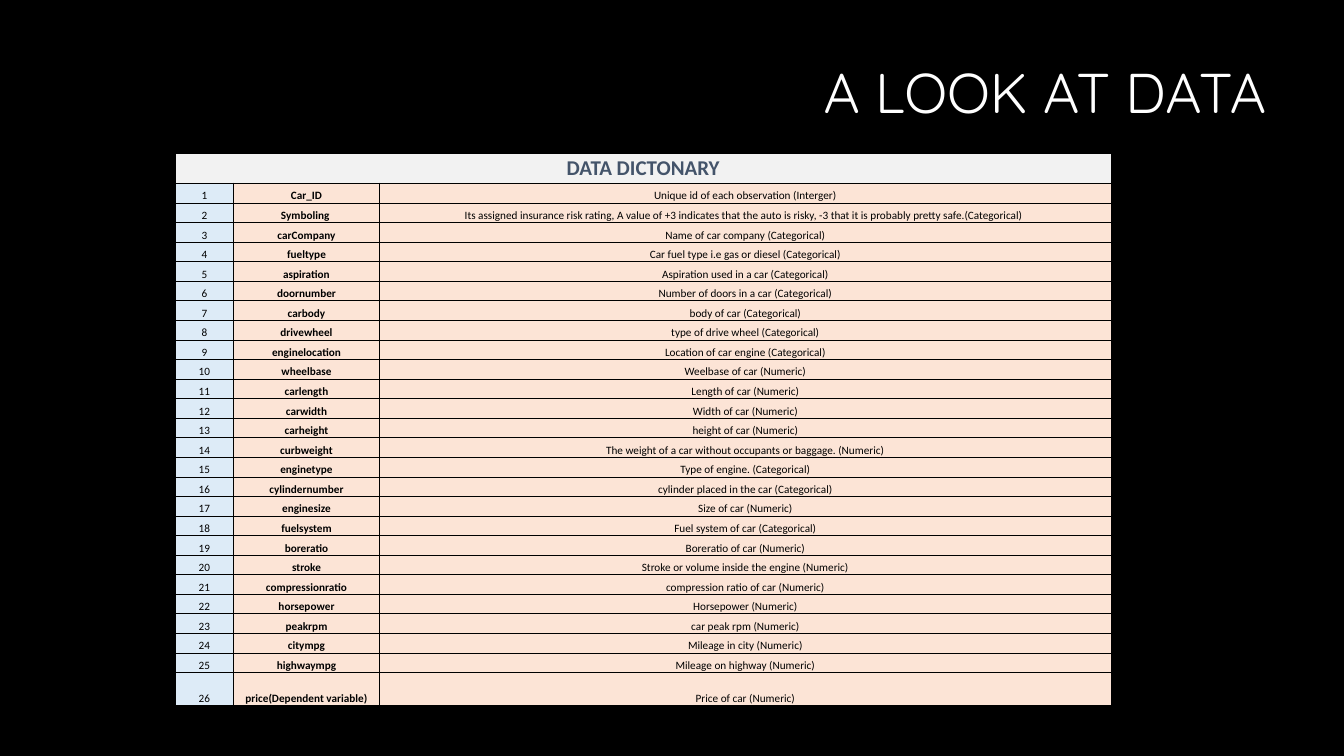
from dataclasses import dataclass

from lxml.etree import SubElement
from pptx import Presentation
from pptx.dml.color import RGBColor
from pptx.enum.text import MSO_ANCHOR, PP_ALIGN
from pptx.oxml.ns import qn
from pptx.util import Cm, Pt


@dataclass(frozen=True)
class Theme:
    background: str = "000000"
    title: str = "FFFFFF"
    heading: str = "44546A"
    heading_fill: str = "F2F2F2"
    number_fill: str = "DDEBF7"
    body_fill: str = "FCE4D6"
    ink: str = "000000"
    title_font: str = "Quicksand"
    table_font: str = "Calibri"
    title_size: int = 40
    heading_size: int = 15
    body_size: int = 8


THEME = Theme()
VARIABLES = [
    ("Car_ID", "Unique id of each observation (Interger)"),
    ("Symboling ", "Its assigned insurance risk rating, A value of +3 indicates that "
     "the auto is risky, -3 that it is probably pretty safe.(Categorical) "),
    ("carCompany", "Name of car company (Categorical)"),
    ("fueltype", "Car fuel type i.e gas or diesel (Categorical)"),
    ("aspiration", "Aspiration used in a car (Categorical)"),
    ("doornumber", "Number of doors in a car (Categorical)"),
    ("carbody", "body of car (Categorical)"),
    ("drivewheel", "type of drive wheel (Categorical)"),
    ("enginelocation", "Location of car engine (Categorical)"),
    ("wheelbase", "Weelbase of car (Numeric)"),
    ("carlength", "Length of car (Numeric)"),
    ("carwidth", "Width of car (Numeric)"),
    ("carheight", "height of car (Numeric)"),
    ("curbweight", "The weight of a car without occupants or baggage. (Numeric)"),
    ("enginetype", "Type of engine. (Categorical)"),
    ("cylindernumber", "cylinder placed in the car (Categorical)"),
    ("enginesize", "Size of car (Numeric)"),
    ("fuelsystem", "Fuel system of car (Categorical)"),
    ("boreratio", "Boreratio of car (Numeric)"),
    ("stroke", "Stroke or volume inside the engine (Numeric)"),
    ("compressionratio", "compression ratio of car (Numeric)"),
    ("horsepower", "Horsepower (Numeric)"),
    ("peakrpm", "car peak rpm (Numeric)"),
    ("citympg", "Mileage in city (Numeric)"),
    ("highwaympg", "Mileage on highway (Numeric)"),
    ("price(Dependent variable)", "Price of car (Numeric)"),
]
OPEN_RIGHT_ROWS = {0, 1, 12}


def add_run(p, text, font, size, color, bold=False):
    r = p.add_run()
    r.text = text
    r.font.name = font
    r.font.size = Pt(size)
    r.font.bold = bold
    r.font.color.rgb = RGBColor.from_string(color)


def format_cell(cell, fill, anchor, widths):
    """Set fill, margins and borders; widths gives points by side, 0 for no line."""
    cell.margin_left = cell.margin_right = cell.margin_top = Cm(0.02)
    cell.margin_bottom = 0
    cell.vertical_anchor = anchor
    tcPr = cell._tc.get_or_add_tcPr()
    for side in "LRTB":
        ln = SubElement(tcPr, qn(f"a:ln{side}"), w=str(Pt(widths[side])))
        if widths[side]:
            solid = SubElement(ln, qn("a:solidFill"))
            SubElement(solid, qn("a:srgbClr"), val=THEME.ink)
        else:
            SubElement(ln, qn("a:noFill"))
    cell.fill.solid()
    cell.fill.fore_color.rgb = RGBColor.from_string(fill)


prs = Presentation()
prs.slide_width, prs.slide_height = Cm(33.87), Cm(19.05)
s = prs.slides.add_slide(prs.slide_layouts[5])
s.background.fill.solid()
s.background.fill.fore_color.rgb = RGBColor.from_string(THEME.background)

# Title
title = s.shapes.title
title.left, title.top = Cm(8.23), Cm(0.61)
title.width, title.height = Cm(23.93), Cm(3.58)
tf = title.text_frame
tf.vertical_anchor = MSO_ANCHOR.MIDDLE
p = tf.paragraphs[0]
p.alignment = PP_ALIGN.RIGHT
p.line_spacing = 0.9
add_run(p, "A LOOK AT DATA", THEME.title_font, THEME.title_size, THEME.title)

# Data dictionary
table_height, heading_height, last_height = Cm(13.92), Cm(0.76), Cm(0.83)
row_height = (table_height - heading_height - last_height) // (len(VARIABLES) - 1)
table = s.shapes.add_table(len(VARIABLES) + 1, 3, Cm(4.42), Cm(3.86),
                           Cm(23.58), table_height).table
table.first_row = table.horz_banding = False
for column, width in zip(table.columns, (1.46, 3.69, 18.43)):
    column.width = Cm(width)
for row in table.rows:
    row.height = row_height
table.rows[0].height = heading_height
table.rows[len(VARIABLES)].height = last_height

heading = table.cell(0, 0)
heading.merge(table.cell(0, 2))
for cell in table.rows[0].cells:
    format_cell(cell, THEME.heading_fill, MSO_ANCHOR.MIDDLE,
                {"L": 0 if cell.is_spanned else 1, "R": 0, "T": 1, "B": 1})
p = heading.text_frame.paragraphs[0]
p.alignment = PP_ALIGN.CENTER
add_run(p, "DATA DICTONARY", THEME.table_font, THEME.heading_size, THEME.heading, True)

for number, (name, meaning) in enumerate(VARIABLES, 1):
    for col, text in enumerate((str(number), name, meaning)):
        cell = table.cell(number, col)
        open_right = col == 2 and number in OPEN_RIGHT_ROWS
        format_cell(cell, THEME.body_fill if col else THEME.number_fill, MSO_ANCHOR.BOTTOM,
                    {"L": 0.5, "R": 0 if open_right else 0.5,
                     "T": 1 if number == 1 else 0.5, "B": 0.5})
        p = cell.text_frame.paragraphs[0]
        p.alignment = PP_ALIGN.CENTER
        add_run(p, text, THEME.table_font, THEME.body_size, THEME.ink, col == 1)

prs.save("out.pptx")
